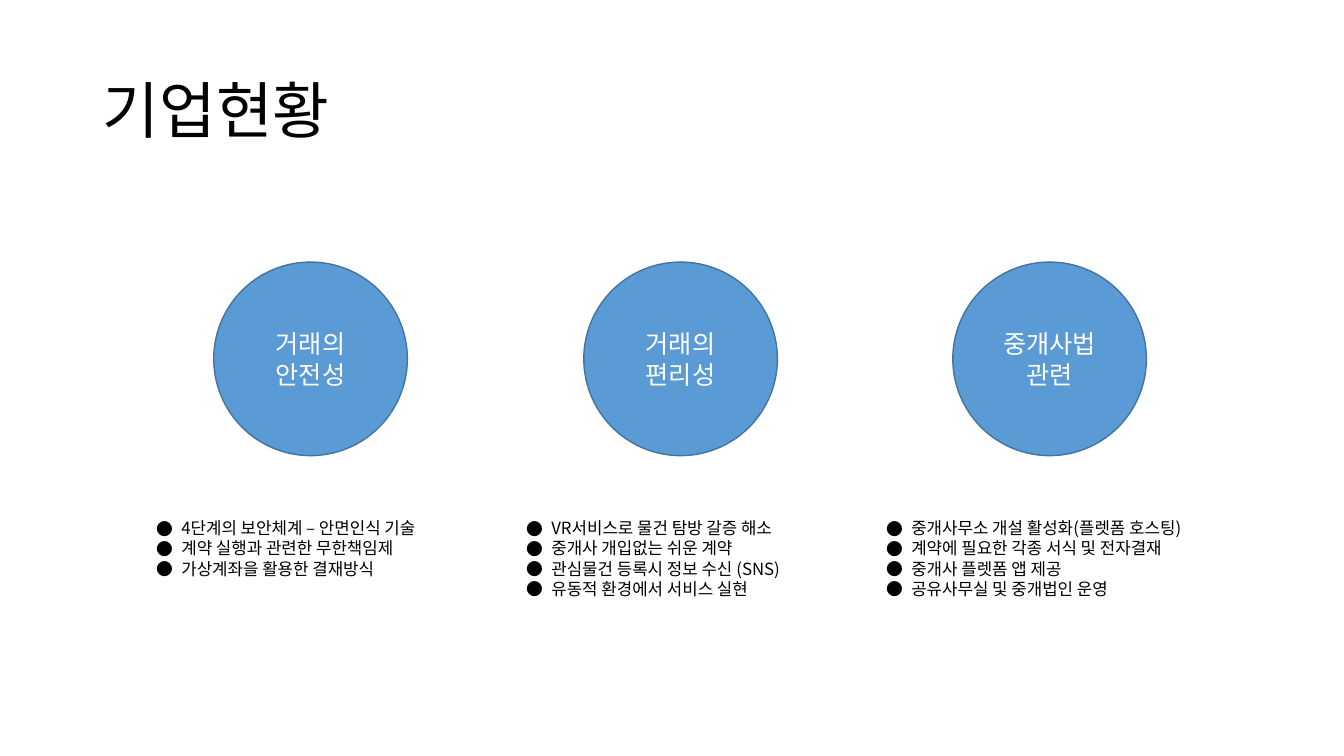
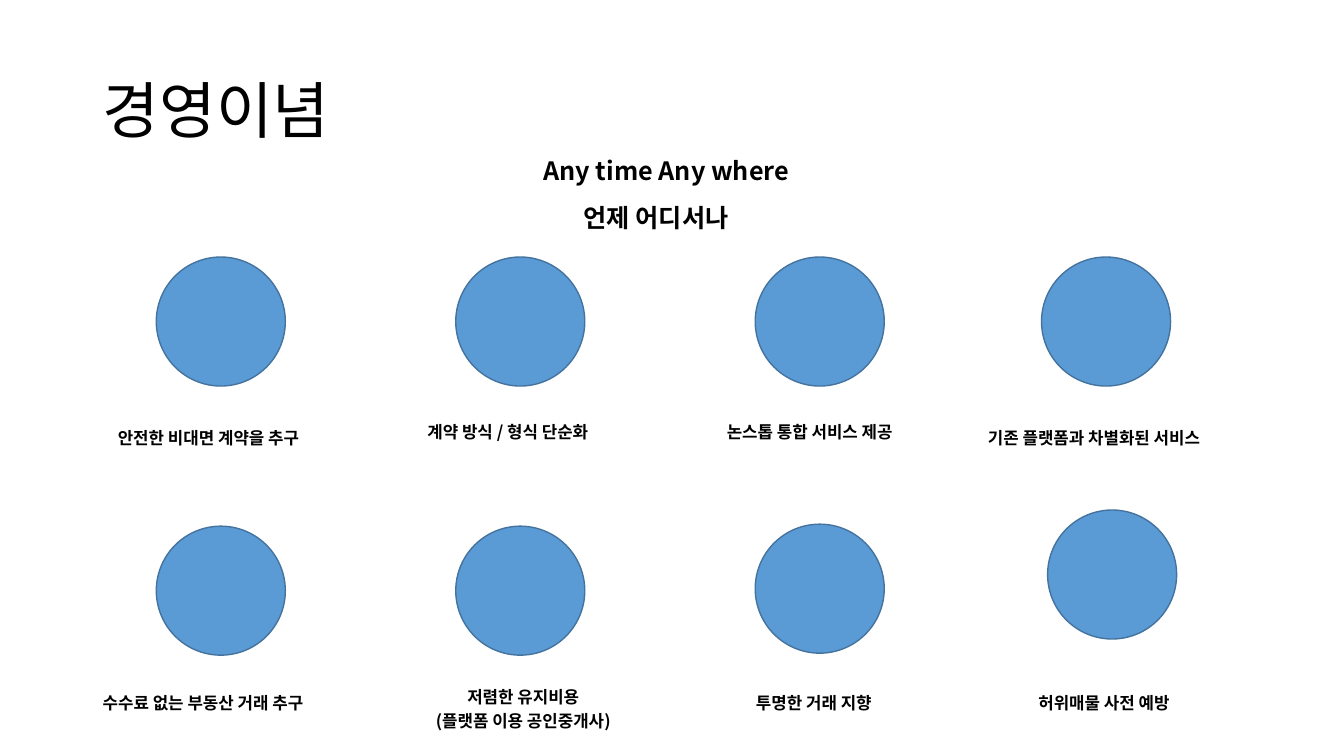
from dataclasses import dataclass

from lxml.etree import SubElement
from pptx import Presentation
from pptx.dml.color import RGBColor
from pptx.enum.shapes import MSO_SHAPE
from pptx.enum.text import MSO_ANCHOR, MSO_AUTO_SIZE, PP_ALIGN
from pptx.oxml.ns import qn
from pptx.util import Pt

EMU_PER_PX = 9144  # 100 px to the inch
TITLE_ONLY_LAYOUT = 5


@dataclass(frozen=True)
class Theme:
    font: str = "Noto Sans CJK KR"
    ink: str = "000000"
    paper: str = "FFFFFF"
    accent: str = "5B9BD5"
    accent_edge: str = "43739E"
    title_size: int = 44
    heading_size: int = 18
    body_size: int = 12


THEME = Theme()

STATUS_TOPICS = [
    ("거래의 안전성", 212, 145, 351, [
        "4단계의 보안체계 – 안면인식 기술",
        "계약 실행과 관련한 무한책임제",
        "가상계좌을 활용한 결재방식",
    ]),
    ("거래의 편리성", 579, 512, 326, [
        "VR서비스로 물건 탐방 갈증 해소",
        "중개사 개입없는 쉬운 계약",
        "관심물건 등록시 정보 수신 (SNS)",
        "유동적 환경에서 서비스 실현",
    ]),
    ("중개사법 관련", 945, 869, 373, [
        "중개사무소 개설 활성화(플렛폼 호스팅)",
        "계약에 필요한 각종 서식 및 전자결재",
        "중개사 플렛폼 앱 제공",
        "공유사무실 및 중개법인 운영",
    ]),
]

# Circle left and top, then caption left, top, width, line spacing and lines
PRINCIPLES = [
    (155, 255, 107, 409, 225, 1.5, ["안전한 비대면 계약을 추구"]),
    (452, 255, 414, 410, 205, 1.2, ["계약 방식 / 형식 단순화"]),
    (749, 255, 711, 410, 205, 1.2, ["논스톱 통합 서비스 제공"]),
    (1033, 255, 970, 409, 260, 1.5, ["기존 플랫폼과 차별화된 서비스"]),
    (155, 522, 92, 672, 255, 1.5, ["수수료 없는 부동산 거래 추구"]),
    (452, 522, 404, 672, 230, 1.2,
     ["저렴한 유지비용", "(플랫폼 이용 공인중개사)"]),
    (749, 520, 740, 672, 153, 1.5, ["투명한 거래 지향"]),
    (1039, 506, 1020, 672, 172, 1.5, ["허위매물 사전 예방"]),
]

SLOGANS = [
    ("Any time Any where", 529, 149, 274),
    ("언제 어디서나", 569, 196, 180),
]


def px(length):
    return length * EMU_PER_PX


def box(left, top, width, height):
    return px(left), px(top), px(width), px(height)


def add_bullet(paragraph, indent):
    properties = paragraph._p.get_or_add_pPr()
    properties.set("marL", str(px(indent)))
    properties.set("indent", str(-px(indent)))
    SubElement(properties, qn("a:buFont"), typeface=THEME.font)
    SubElement(properties, qn("a:buChar"), char="●")


def write_text(shape, lines, size=THEME.body_size, color=THEME.ink, bold=False,
               align=PP_ALIGN.LEFT, anchor=MSO_ANCHOR.TOP, line_spacing=1.0,
               bullet_indent=None):
    frame = shape.text_frame
    frame.word_wrap = True
    frame.auto_size = MSO_AUTO_SIZE.NONE
    frame.vertical_anchor = anchor
    frame.text = "\n".join(lines)
    for paragraph in frame.paragraphs:
        paragraph.alignment = align
        paragraph.line_spacing = line_spacing
        if bullet_indent is not None:
            add_bullet(paragraph, bullet_indent)
        for run in paragraph.runs:
            run.font.name = THEME.font
            run.font.size = Pt(size)
            run.font.bold = bold
            run.font.color.rgb = RGBColor.from_string(color)
            SubElement(run.font._element, qn("a:ea"), typeface=THEME.font)


def add_titled_slide(presentation, title, title_width):
    layout = presentation.slide_layouts[TITLE_ONLY_LAYOUT]
    slide = presentation.slides.add_slide(layout)
    shape = slide.shapes.title
    shape.left, shape.top, shape.width, shape.height = box(
        92, 40, title_width, 145)
    write_text(shape, [title], size=THEME.title_size,
               anchor=MSO_ANCHOR.MIDDLE, line_spacing=0.9)
    return slide


def add_filled_shape(slide, preset, position, fill, edge, edge_width):
    shape = slide.shapes.add_shape(preset, *position)
    shape.shadow.inherit = False
    shape.fill.solid()
    shape.fill.fore_color.rgb = RGBColor.from_string(fill)
    shape.line.color.rgb = RGBColor.from_string(edge)
    shape.line.width = Pt(edge_width)
    return shape


def add_circle(slide, left, top, diameter):
    return add_filled_shape(slide, MSO_SHAPE.OVAL,
                            box(left, top, diameter, diameter),
                            THEME.accent, THEME.accent_edge, 1)


def add_text(slide, position, lines, **text_format):
    write_text(slide.shapes.add_textbox(*position), lines, **text_format)


def add_slogan(slide, text, left, top, width):
    shape = add_filled_shape(slide, MSO_SHAPE.RECTANGLE,
                             box(left, top, width, 42),
                             THEME.paper, THEME.paper, 2.25)
    write_text(shape, [text], size=THEME.heading_size, bold=True)


def build_status_slide(presentation):
    slide = add_titled_slide(presentation, "기업현황", 1150)
    for name, circle_left, list_left, list_width, points in STATUS_TOPICS:
        circle = add_circle(slide, circle_left, 260, 192)
        write_text(circle, [name], size=THEME.heading_size, color=THEME.paper,
                   align=PP_ALIGN.CENTER, anchor=MSO_ANCHOR.MIDDLE)
        list_height = 11 + 20 * len(points)
        add_text(slide, box(list_left, 509, list_width, list_height), points,
                 bullet_indent=25)


def build_philosophy_slide(presentation):
    slide = add_titled_slide(presentation, "경영이념", 265)
    for (circle_left, circle_top, left, top, width, line_spacing,
         lines) in PRINCIPLES:
        add_circle(slide, circle_left, circle_top, 128)
        align = PP_ALIGN.CENTER if len(lines) > 1 else PP_ALIGN.LEFT
        height = 56 if len(lines) > 1 else 40
        add_text(slide, box(left, top, width, height), lines, bold=True,
                 align=align, line_spacing=line_spacing)
    for slogan in SLOGANS:
        add_slogan(slide, *slogan)


def main():
    presentation = Presentation()
    presentation.slide_width = px(1333)
    presentation.slide_height = px(750)
    build_status_slide(presentation)
    build_philosophy_slide(presentation)
    presentation.save("out.pptx")


if __name__ == "__main__":
    main()
